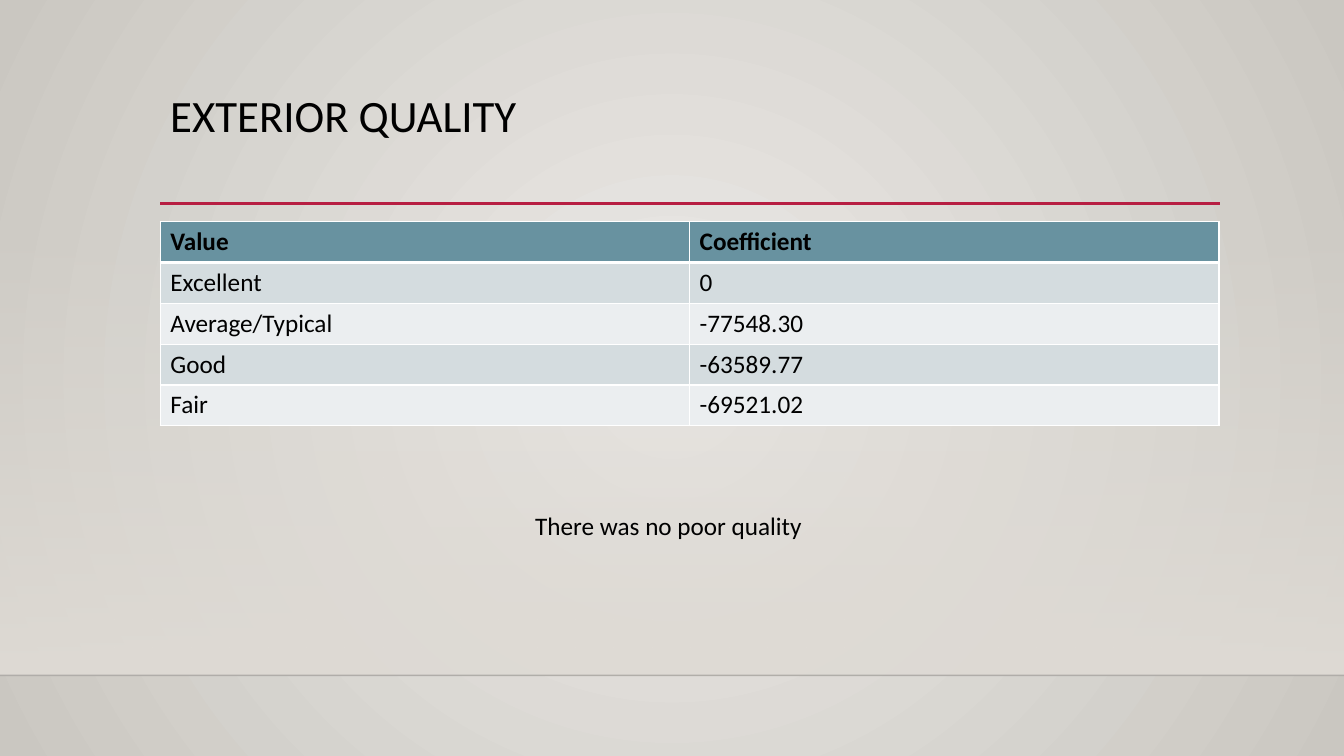
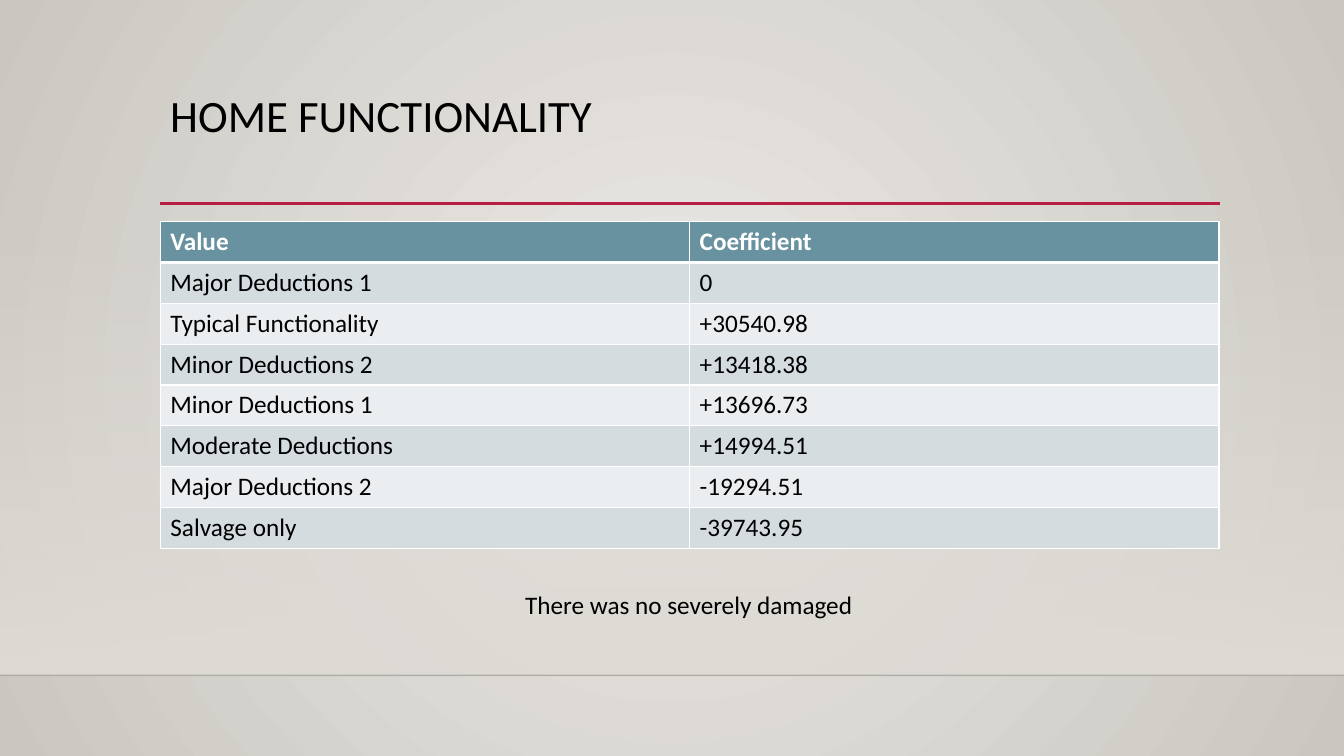
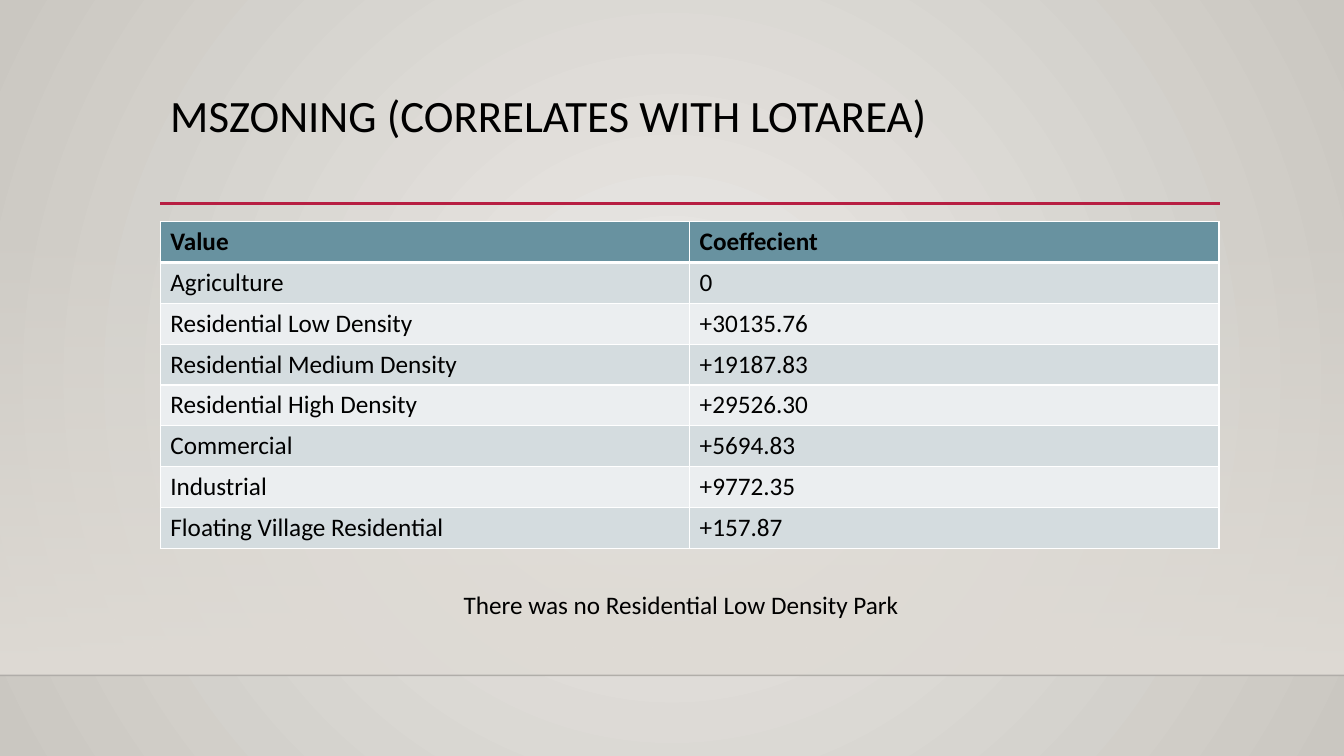
"""Build three slides of home price coefficients, one table per feature."""
from dataclasses import dataclass

from pptx import Presentation
from pptx.dml.color import RGBColor
from pptx.enum.shapes import MSO_CONNECTOR, MSO_SHAPE
from pptx.enum.text import MSO_ANCHOR, MSO_AUTO_SIZE
from pptx.oxml.ns import qn
from pptx.util import Inches, Pt
from lxml.etree import SubElement


@dataclass(frozen=True)
class Theme:
    font: str = "Calibri"
    title_size: int = 32
    body_size: int = 18
    text: str = "000000"
    white: str = "FFFFFF"
    accent: str = "B71E42"
    floor_line: str = "000001"
    floor: str = "DFDBD5"
    glow: str = "ECEAE7"
    edge: str = "CAC7C1"
    header: str = "6892A0"
    bands: tuple = ("D4DCDF", "EBEEF0")


theme = Theme()


def style_text(text_frame, size, color, bold=False):
    for paragraph in text_frame.paragraphs:
        for span in paragraph.runs:
            span.font.name = theme.font
            span.font.size = Pt(size)
            span.font.bold = bold
            span.font.color.rgb = RGBColor.from_string(color)


def fill_gradient(fill, colors):
    fill.gradient()
    for stop, color in zip(fill.gradient_stops, colors):
        stop.color.rgb = RGBColor.from_string(color)


slides = [
    {
        "title": "EXTERIOR QUALITY",
        "header_color": theme.text,
        "rows": [
            ("Value", "Coefficient"),
            ("Excellent", "0"),
            ("Average/Typical", "-77548.30"),
            ("Good", "-63589.77"),
            ("Fair", "-69521.02"),
        ],
        "note": "There was no poor quality",
        "note_place": (5.21, 5.01, 2.92),
    },
    {
        "title": "HOME FUNCTIONALITY",
        "header_color": theme.white,
        "rows": [
            ("Value", "Coefficient"),
            ("Major Deductions 1", "0"),
            ("Typical Functionality", "+30540.98"),
            ("Minor Deductions 2", "+13418.38"),
            ("Minor Deductions 1", "+13696.73"),
            ("Moderate Deductions", "+14994.51"),
            ("Major Deductions 2", "-19294.51"),
            ("Salvage only", "-39743.95"),
        ],
        "note": "There was no severely damaged",
        "note_place": (5.11, 5.8, 3.46),
    },
    {
        "title": "MSZONING (CORRELATES WITH LOTAREA)",
        "header_color": theme.text,
        "rows": [
            ("Value", "Coeffecient"),
            ("Agriculture", "0"),
            ("Residential Low Density", "+30135.76"),
            ("Residential Medium Density", "+19187.83"),
            ("Residential High Density", "+29526.30"),
            ("Commercial", "+5694.83"),
            ("Industrial", "+9772.35"),
            ("Floating Village Residential", "+157.87"),
        ],
        "note": "There was no Residential Low Density Park",
        "note_place": (4.5, 5.8, 4.68),
    },
]

deck = Presentation()
deck.slide_width = Inches(13.33)
deck.slide_height = Inches(7.5)
left, content_width = Inches(1.59), Inches(10.5)
row_height = Inches(3.24) // 8

master = deck.slide_master
fill_gradient(master.background.fill, (theme.glow, theme.edge))
backdrop = master.element.find(".//" + qn("p:bgPr")).find(qn("a:gradFill"))
backdrop.remove(backdrop.find(qn("a:lin")))
circle = SubElement(backdrop, qn("a:path"), path="circle")
SubElement(circle, qn("a:fillToRect"), l="50000", t="50000", r="50000", b="50000")

rules = [
    (0, 13.33, 6.7, theme.floor_line, 1, 20),
    (1.59, 12.1, 2.02, theme.accent, 2.5, 100),
]

for content in slides:
    page = deck.slides.add_slide(deck.slide_layouts[6])

    floor = page.shapes.add_shape(
        MSO_SHAPE.RECTANGLE, 0, Inches(2.21), deck.slide_width, Inches(4.49)
    )
    floor.shadow.inherit = False
    floor.line.fill.background()
    fill_gradient(floor.fill, (theme.floor, theme.floor))
    floor.fill.gradient_angle = 270
    clear_color = floor._element.spPr.find(".//" + qn("a:srgbClr"))
    SubElement(clear_color, qn("a:alpha"), val="0")

    for start, end, height, color, weight, opacity in rules:
        rule = page.shapes.add_connector(
            MSO_CONNECTOR.STRAIGHT, Inches(start), Inches(height), Inches(end), Inches(height)
        )
        rule.line.color.rgb = RGBColor.from_string(color)
        rule.line.width = Pt(weight)
        if opacity < 100:
            line_color = rule._element.spPr.find(".//" + qn("a:srgbClr"))
            SubElement(line_color, qn("a:alpha"), val=str(opacity * 1000))
        SubElement(rule._element.spPr, qn("a:effectLst"))

    title_box = page.shapes.add_textbox(left, Inches(0.88), content_width, Inches(1.15))
    title_box.text_frame.word_wrap = True
    title_box.text_frame.vertical_anchor = MSO_ANCHOR.TOP
    title_box.text_frame.text = content["title"]
    title_box.text_frame.paragraphs[0].line_spacing = 0.9
    style_text(title_box.text_frame, theme.title_size, theme.text)

    rows = content["rows"]
    table = page.shapes.add_table(
        len(rows), 2, left, Inches(2.2), content_width, row_height * len(rows)
    ).table
    table.horz_banding = False
    for row_index, row in enumerate(rows):
        is_header = row_index == 0
        fill_color = theme.header if is_header else theme.bands[(row_index - 1) % 2]
        text_color = content["header_color"] if is_header else theme.text
        borders = {
            "a:lnL": 1,
            "a:lnR": 1,
            "a:lnT": 3 if row_index == 1 else 1,
            "a:lnB": 3 if is_header else 1,
        }
        for column_index, value in enumerate(row):
            cell = table.cell(row_index, column_index)
            cell.text_frame.text = value
            style_text(cell.text_frame, theme.body_size, text_color, is_header)
            properties = cell._tc.get_or_add_tcPr()
            for side, weight in borders.items():
                border = SubElement(properties, qn(side), w=str(Pt(weight)))
                border_fill = SubElement(border, qn("a:solidFill"))
                SubElement(border_fill, qn("a:srgbClr"), val=theme.white)
            cell.fill.solid()
            cell.fill.fore_color.rgb = RGBColor.from_string(fill_color)

    note_left, note_top, note_width = content["note_place"]
    note_box = page.shapes.add_textbox(
        Inches(note_left), Inches(note_top), Inches(note_width), Inches(0.4)
    )
    note_box.text_frame.word_wrap = False
    note_box.text_frame.auto_size = MSO_AUTO_SIZE.SHAPE_TO_FIT_TEXT
    note_box.text_frame.text = content["note"]
    style_text(note_box.text_frame, theme.body_size, theme.text)

deck.save("out.pptx")
